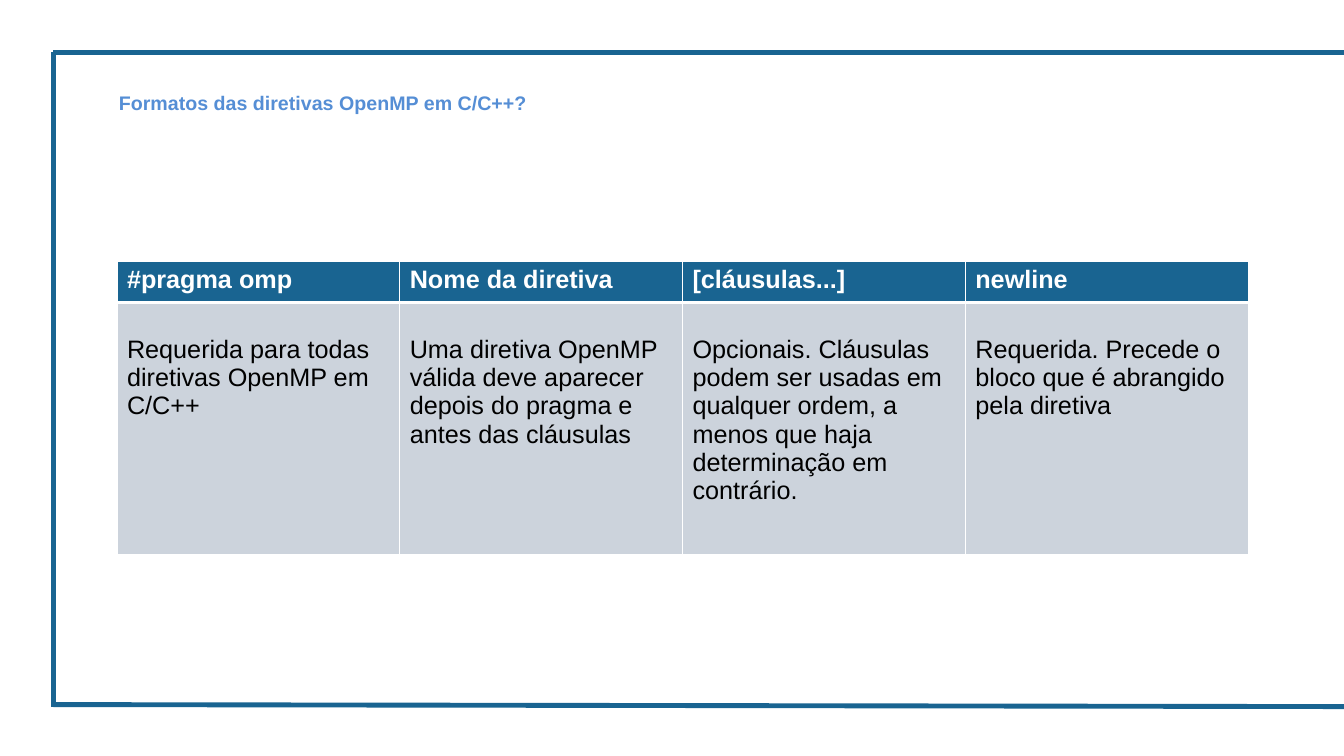
from lxml.etree import SubElement
from pptx import Presentation
from pptx.dml.color import RGBColor
from pptx.enum.shapes import MSO_CONNECTOR
from pptx.oxml import parse_xml
from pptx.oxml.ns import nsdecls, qn
from pptx.util import Inches, Pt

TITLE = "Formatos das diretivas OpenMP em C/C++?"
COLUMNS = [
    ("#pragma omp", "Requerida para todas diretivas OpenMP em C/C++"),
    ("Nome da diretiva",
     "Uma diretiva OpenMP válida deve aparecer depois do pragma e antes das cláusulas"),
    ("[cláusulas...]",
     "Opcionais. Cláusulas podem ser usadas em qualquer ordem, "
     "a menos que haja determinação em contrário."),
    ("newline", "Requerida. Precede o bloco que é abrangido pela diretiva"),
]
WIDTH, HEIGHT = 13.33, 7.5
LEFT, TOP, BOTTOM = 0.53, 0.52, 7.01
FRAME = [
    (LEFT, TOP, WIDTH, TOP),
    (LEFT, BOTTOM, LEFT, TOP),
    (LEFT, BOTTOM - 0.02, WIDTH, BOTTOM),
]
BLUE, WHITE = "196491", "FFFFFF"
TITLE_FONT = {"size": Pt(14), "bold": True, "color": "558ED5"}
ROWS = [
    {"height": 0.41, "fill": BLUE, "margin": 0.05,
     "borders": {"lnL": 1, "lnR": 1, "lnT": 1, "lnB": 3},
     "font": {"size": Pt(18), "bold": True, "color": WHITE}},
    {"height": 2.5, "fill": "CCD3DC", "margin": 0.33,
     "borders": {"lnL": 1, "lnR": 1, "lnT": 3, "lnB": 1},
     "font": {"size": Pt(18), "bold": False, "color": "000000"}},
]


def color(value):
    return RGBColor.from_string(value)


def write(frame, text, formats):
    frame.word_wrap = True
    span = frame.paragraphs[0].add_run()
    span.text = text
    span.font.name = "Arial"
    for name, value in formats.items():
        if name == "color":
            span.font.color.rgb = color(value)
        else:
            setattr(span.font, name, value)


def add_borders(cell, borders):
    properties = cell._tc.get_or_add_tcPr()
    for index, (side, points) in enumerate(borders.items()):
        properties.insert(index, parse_xml(
            f'<a:{side} {nsdecls("a")} w="{Pt(points)}"><a:solidFill>'
            f'<a:srgbClr val="{WHITE}"/></a:solidFill></a:{side}>'))


def add_frame(page):
    for ends in FRAME:
        line = page.shapes.add_connector(MSO_CONNECTOR.STRAIGHT, *map(Inches, ends))
        line.line.color.rgb = color(BLUE)
        line.line.width = Pt(3.5)
        SubElement(line._element.spPr, qn("a:effectLst"))


def add_directive_table(page):
    area = map(Inches, (1.16, 2.59, 11.22, sum(row["height"] for row in ROWS)))
    table = page.shapes.add_table(len(ROWS), len(COLUMNS), *area).table
    table.horz_banding = False
    for row_index, style in enumerate(ROWS):
        table.rows[row_index].height = Inches(style["height"])
        for column_index, texts in enumerate(COLUMNS):
            cell = table.cell(row_index, column_index)
            cell.fill.solid()
            cell.fill.fore_color.rgb = color(style["fill"])
            cell.margin_top = Inches(style["margin"])
            add_borders(cell, style["borders"])
            write(cell.text_frame, texts[row_index], style["font"])


def main():
    deck = Presentation()
    deck.slide_width, deck.slide_height = Inches(WIDTH), Inches(HEIGHT)
    page = deck.slides.add_slide(deck.slide_layouts[6])
    add_frame(page)
    box = page.shapes.add_textbox(*map(Inches, (1.08, 0.85, 11.89, 0.81)))
    write(box.text_frame, TITLE, TITLE_FONT)
    add_directive_table(page)
    deck.save("out.pptx")


if __name__ == "__main__":
    main()
